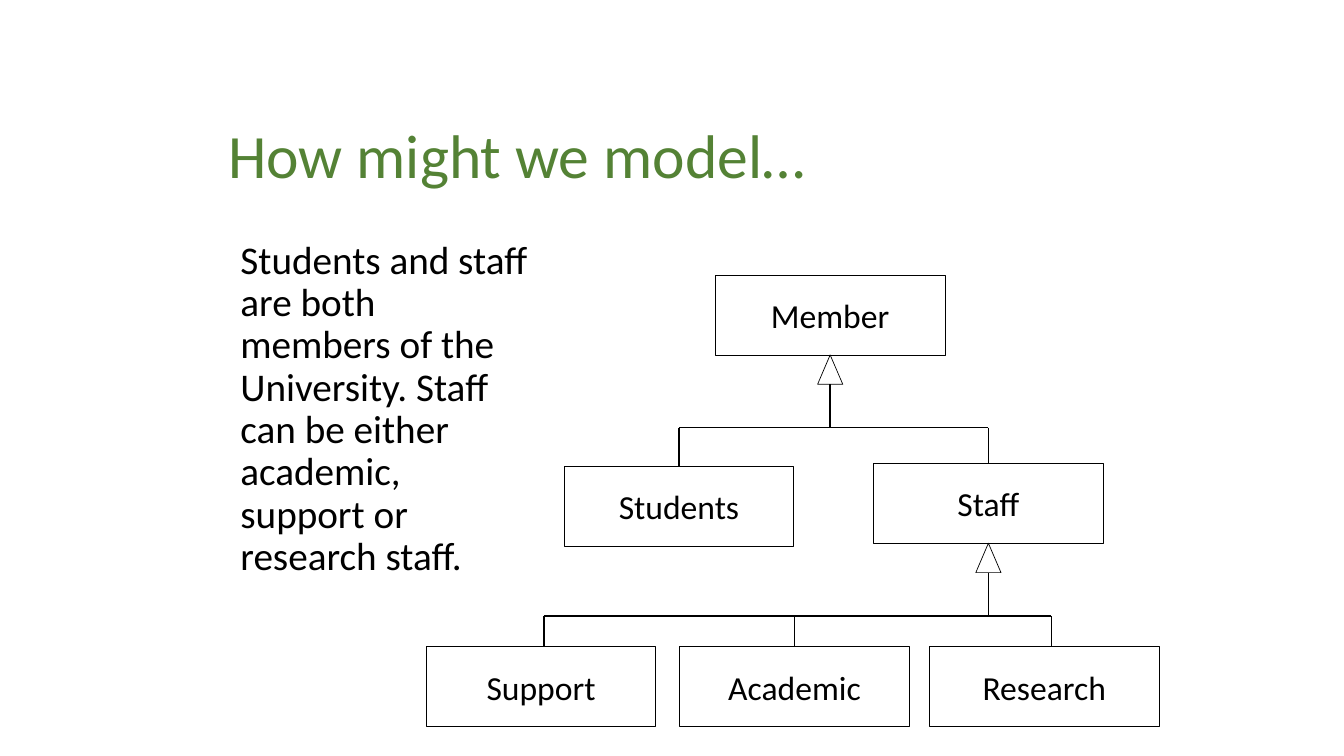
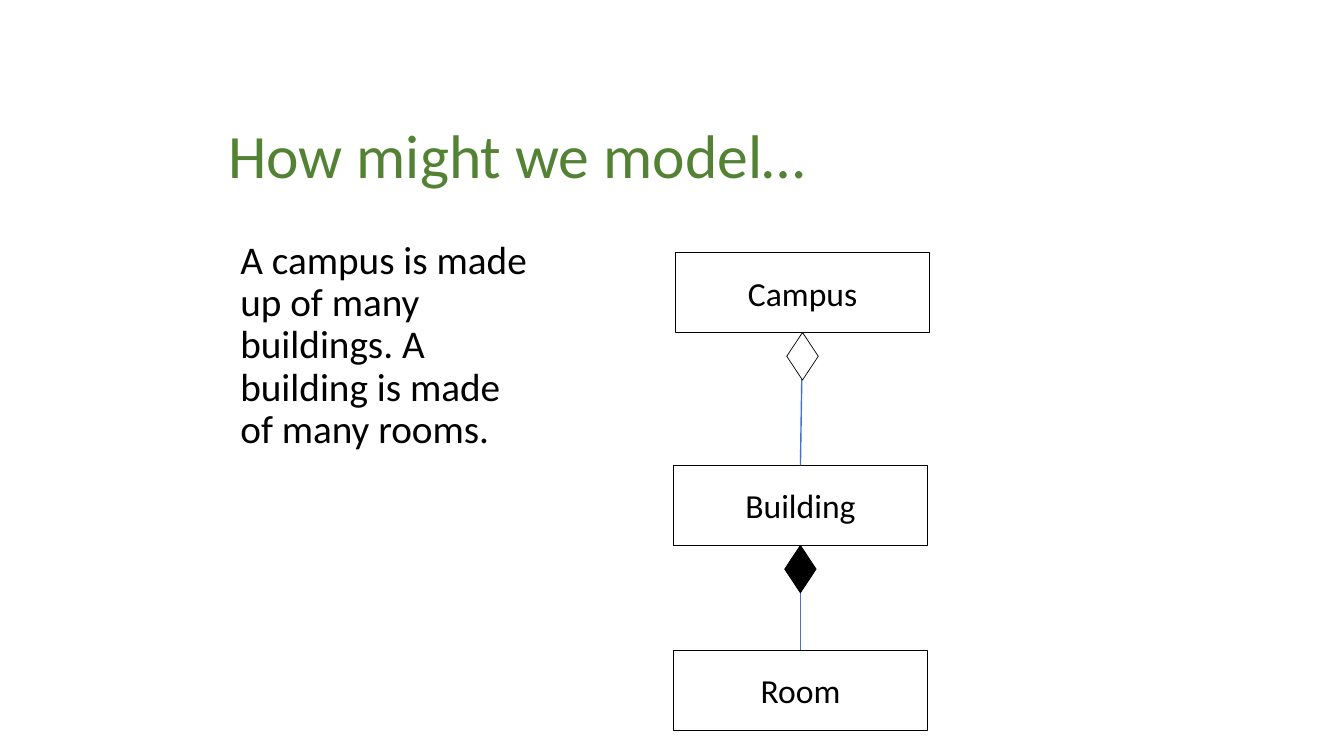
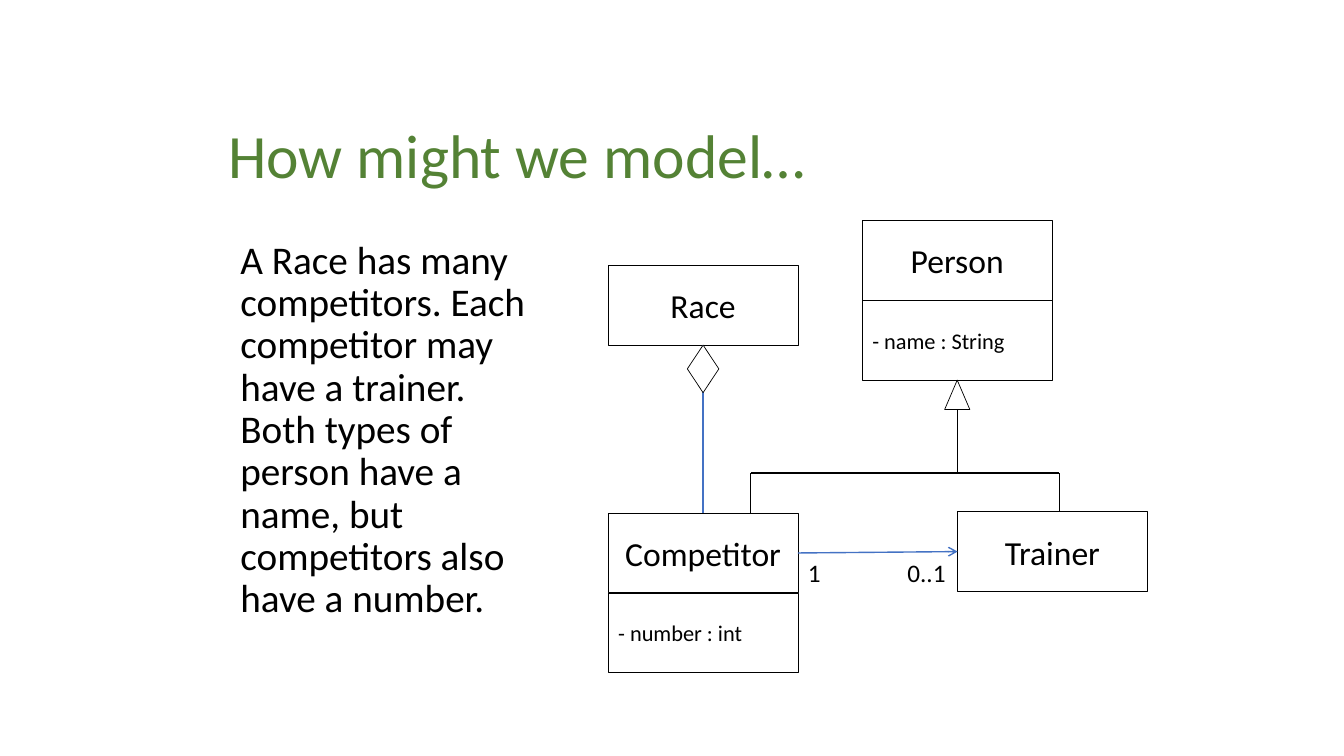
from lxml.etree import SubElement
from pptx import Presentation
from pptx.dml.color import RGBColor
from pptx.enum.shapes import MSO_CONNECTOR as CONN, MSO_SHAPE as SHAPE
from pptx.enum.text import MSO_ANCHOR as ANCHOR, MSO_AUTO_SIZE as AUTO, PP_ALIGN as ALIGN
from pptx.oxml.ns import qn
from pptx.util import Pt

FONT = "Calibri"
COLORS = {"title": "548235", "ink": "000000", "link": "4472C4", "paper": "FFFFFF"}
TITLE = "How might we model…"
BOX_H = 57
TRIANGLE_W, TRIANGLE_H = 18, 21
DIAMOND_W, DIAMOND_H = 22.5, 34

SLIDES = [
    {
        "body": "Students and staff are both members of the University. "
                "Staff can be either academic, support or research staff.",
        "box_w": 164,
        "boxes": {
            "Students": (403, 333), "Member": (511, 196.5), "Staff": (624, 331),
            "Research": (664, 462), "Academic": (485.5, 462), "Support": (304.5, 462),
        },
        "trees": [
            ("Member", 305.5, [("Students", 0), ("Staff", 0)]),
            ("Staff", 440, [("Support", 2), ("Academic", 0), ("Research", 5)]),
        ],
    },
    {
        "body": "A campus is made up of many buildings. A building is made of many rooms.",
        "box_w": 181.5,
        "boxes": {"Campus": (482.5, 180.5), "Building": (481, 332.5), "Room": (481, 464.5)},
        "wholes": [("Campus", "Building", "paper"), ("Building", "Room", "ink")],
    },
    {
        "body": "A Race has many competitors. Each competitor may have a trainer. "
                "Both types of person have a name, but competitors also have a number.",
        "box_w": 135.5,
        "boxes": {
            "Race": (434.5, 189.5), "Person": (616, 157.5),
            "Competitor": (434.5, 366.5), "Trainer": (684, 365.5),
        },
        "attributes": {"Person": "- name : String", "Competitor": "- number : int"},
        "trees": [("Person", 338, [("Competitor", 34), ("Trainer", 5)])],
        "wholes": [("Race", "Competitor", "paper")],
        "arrows": [("Competitor", "Trainer")],
        "labels": [("1", 570, 394.5, 24), ("0..1", 641, 394.5, 43)],
    },
]


def rgb(name):
    return RGBColor.from_string(COLORS[name])


def write(tf, text, size, color="ink", align=ALIGN.LEFT):
    tf.text = text
    p = tf.paragraphs[0]
    p.alignment = align
    font = p.runs[0].font
    font.name, font.size, font.color.rgb = FONT, Pt(size), rgb(color)
    return p


def add_text(s, text, x, y, w, h, size, color="ink", wrap=True):
    tf = s.shapes.add_textbox(Pt(x), Pt(y), Pt(w), Pt(h)).text_frame
    tf.word_wrap = wrap
    return tf, write(tf, text, size, color)


def add_outline(s, kind, x, y, w, h, fill=None):
    sp = s.shapes.add_shape(kind, Pt(x), Pt(y), Pt(w), Pt(h))
    sp.shadow.inherit = False
    if fill:
        sp.fill.solid()
        sp.fill.fore_color.rgb = rgb(fill)
    else:
        sp.fill.background()
    sp.line.color.rgb = rgb("ink")
    sp.line.width = Pt(0.5)
    return sp


def add_box(s, text, x, y, w, size=24, align=ALIGN.CENTER):
    sp = add_outline(s, SHAPE.RECTANGLE, x, y, w, BOX_H)
    sp.text_frame.word_wrap = True
    sp.text_frame.vertical_anchor = ANCHOR.MIDDLE
    write(sp.text_frame, text, size, align=align)
    return sp


def add_line(s, start=(0, 0), end=(0, 0), color="ink", begin_at=None, end_at=None):
    line = s.shapes.add_connector(CONN.STRAIGHT, *(Pt(v) for v in (*start, *end)))
    if begin_at:
        line.begin_connect(*begin_at)
    if end_at:
        line.end_connect(*end_at)
    line.line.color.rgb = rgb(color)
    line.line.width = Pt(1)
    SubElement(line._element.spPr, qn("a:effectLst"))
    return line


def bottom_middle(sp):
    return (sp.left + sp.width / 2) / Pt(1), (sp.top + sp.height) / Pt(1)


def add_tree(s, boxes, parent, bus_y, children):
    x, y = bottom_middle(parent)
    add_outline(s, SHAPE.ISOSCELES_TRIANGLE, x - TRIANGLE_W / 2, y, TRIANGLE_W, TRIANGLE_H)
    add_line(s, (x, y + TRIANGLE_H), (x, bus_y))
    drops = []
    for child, offset in children:
        box = boxes[child]
        drop_x = bottom_middle(box)[0] + offset
        drops.append(drop_x)
        add_line(s, (drop_x, bus_y), (drop_x, box.top / Pt(1)),
                 end_at=None if offset else (box, 0))
    add_line(s, (min(drops), bus_y), (max(drops), bus_y))


def add_whole(s, boxes, whole, part, fill):
    add_line(s, color="link", begin_at=(boxes[whole], 2), end_at=(boxes[part], 0))
    x, y = bottom_middle(boxes[whole])
    add_outline(s, SHAPE.DIAMOND, x - DIAMOND_W / 2, y, DIAMOND_W, DIAMOND_H, fill)


def add_arrow(s, boxes, source, target):
    line = add_line(s, color="link", begin_at=(boxes[source], 3), end_at=(boxes[target], 1))
    SubElement(line.line._get_or_add_ln(), qn("a:tailEnd"), type="arrow")


def add_frame(s, body):
    tf, p = add_text(s, TITLE, 156, 71, 648, 84, 44, "title")
    tf.vertical_anchor = ANCHOR.MIDDLE
    p.line_spacing = 0.9
    tf, p = add_text(s, body, 156, 168, 229, 340.5, 28)
    p.line_spacing = 0.9
    p.space_before = Pt(10)
    p._p.get_or_add_pPr().set("marL", str(Pt(8.64)))


def build(prs, content):
    s = prs.slides.add_slide(prs.slide_layouts[6])
    add_frame(s, content["body"])
    w = content["box_w"]
    boxes = {name: add_box(s, name, x, y, w) for name, (x, y) in content["boxes"].items()}
    lowest = dict(boxes)
    for name, text in content.get("attributes", {}).items():
        x, y = content["boxes"][name]
        lowest[name] = add_box(s, text, x, y + BOX_H, w, 16, ALIGN.LEFT)
    for parent, bus_y, children in content.get("trees", []):
        add_tree(s, boxes, lowest[parent], bus_y, children)
    for whole in content.get("wholes", []):
        add_whole(s, boxes, *whole)
    for arrow in content.get("arrows", []):
        add_arrow(s, boxes, *arrow)
    for text, x, y, label_w in content.get("labels", []):
        tf, p = add_text(s, text, x, y, label_w, 29, 18, wrap=False)
        tf.auto_size = AUTO.SHAPE_TO_FIT_TEXT


def main():
    prs = Presentation()
    prs.slide_width, prs.slide_height = Pt(960), Pt(540)
    for content in SLIDES:
        build(prs, content)
    prs.save("out.pptx")


if __name__ == "__main__":
    main()
